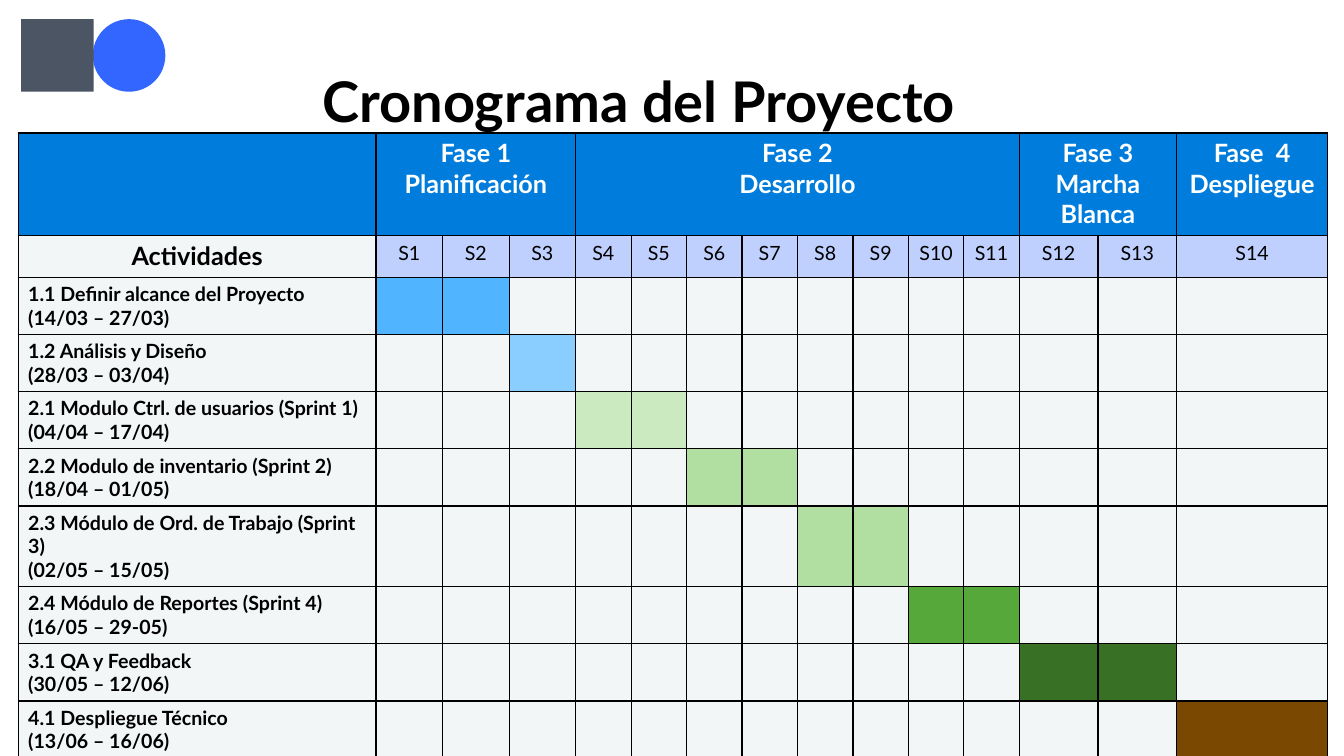
from lxml import etree
from pptx import Presentation
from pptx.dml.color import RGBColor
from pptx.enum import shapes, text
from pptx.oxml import ns
from pptx.util import Inches, Pt

BLACK = RGBColor(0x00, 0x00, 0x00)
WHITE = RGBColor(0xFF, 0xFF, 0xFF)
SLATE = RGBColor(0x4B, 0x55, 0x63)
ROYAL_BLUE = RGBColor(0x33, 0x66, 0xFF)
HEADER_BLUE = RGBColor(0x00, 0x7D, 0xDC)
WEEK_BLUE = RGBColor(0xBF, 0xCF, 0xFE)
PALE_GRAY = RGBColor(0xF2, 0xF6, 0xF7)
SKY_BLUE = RGBColor(0x50, 0xB4, 0xFF)
LIGHT_BLUE = RGBColor(0x8A, 0xCD, 0xFF)
PALE_GREEN = RGBColor(0xCB, 0xEA, 0xC0)
LIGHT_GREEN = RGBColor(0xB0, 0xDF, 0xA1)
GREEN = RGBColor(0x55, 0xA8, 0x39)
DARK_GREEN = RGBColor(0x38, 0x70, 0x26)
BROWN = RGBColor(0x7A, 0x48, 0x00)

COLUMN_WIDTHS = [3.55] + [0.66] * 3 + [0.55] * 8 + [0.78] * 2 + [1.5]
ROW_HEIGHTS = [1.02, 0.41] + [0.52] * 8
PHASES = [
    ("Fase 1\nPlanificación", 1, 3),
    ("Fase 2\nDesarrollo", 4, 11),
    ("Fase 3\nMarcha Blanca", 12, 13),
    ("Fase  4\nDespliegue", 14, 14),
]
ACTIVITIES = [
    ("1.1 Definir alcance del Proyecto\n(14/03 – 27/03)", 1, 2, SKY_BLUE),
    ("1.2 Análisis y Diseño\n(28/03 – 03/04)", 3, 3, LIGHT_BLUE),
    ("2.1 Modulo Ctrl. de usuarios (Sprint 1) (04/04 – 17/04)", 4, 5, PALE_GREEN),
    ("2.2 Modulo de inventario (Sprint 2)\n(18/04 – 01/05)", 6, 7, LIGHT_GREEN),
    ("2.3 Módulo de Ord. de Trabajo (Sprint 3)\n(02/05 – 15/05)", 8, 9, LIGHT_GREEN),
    ("2.4 Módulo de Reportes (Sprint 4)\n(16/05 – 29-05)", 10, 11, GREEN),
    ("3.1 QA y Feedback\n(30/05 – 12/06)", 12, 13, DARK_GREEN),
    ("4.1 Despliegue Técnico\n(13/06 – 16/06)", 14, 14, BROWN),
]


def write_text(frame, content, size=18, color=BLACK, bold=True, align=text.PP_ALIGN.CENTER):
    frame.text = content
    for paragraph in frame.paragraphs:
        paragraph.alignment = align
        font = paragraph.runs[0].font
        font.name = "Lato"
        font.size = Pt(size)
        font.bold = bold
        font.color.rgb = color


def format_cell(cell, color):
    properties = cell._tc.get_or_add_tcPr()
    for side in ("lnL", "lnR", "lnT", "lnB"):
        line = etree.SubElement(properties, ns.qn("a:" + side), w=str(Pt(1)))
        fill = etree.SubElement(line, ns.qn("a:solidFill"))
        etree.SubElement(fill, ns.qn("a:srgbClr"), val=str(BLACK))
    cell.fill.solid()
    cell.fill.fore_color.rgb = color


presentation = Presentation()
presentation.slide_width = Inches(13.33)
presentation.slide_height = Inches(7.5)
slide = presentation.slides.add_slide(presentation.slide_layouts[5])

for kind, left, color in [
    (shapes.MSO_SHAPE.OVAL, 0.92, ROYAL_BLUE),
    (shapes.MSO_SHAPE.RECTANGLE, 0.21, SLATE),
]:
    shape = slide.shapes.add_shape(kind, Inches(left), Inches(0.19), Inches(0.72), Inches(0.72))
    shape.shadow.inherit = False
    shape.fill.solid()
    shape.fill.fore_color.rgb = color
    shape.line.fill.background()

title = slide.shapes.title
title.left, title.top = Inches(1.43), Inches(0.7)
title.width, title.height = Inches(9.81), Inches(0.58)
frame = title.text_frame
frame.margin_left = frame.margin_top = frame.margin_right = frame.margin_bottom = 0
frame.vertical_anchor = text.MSO_ANCHOR.MIDDLE
frame.auto_size = text.MSO_AUTO_SIZE.NONE
write_text(frame, "Cronograma del Proyecto", size=40)

schedule = slide.shapes.add_table(
    len(ROW_HEIGHTS), len(COLUMN_WIDTHS), Inches(0.18), Inches(1.32), Inches(12.97), Inches(5.59)
).table
for column, width in zip(schedule.columns, COLUMN_WIDTHS):
    column.width = Inches(width)
for row, height in zip(schedule.rows, ROW_HEIGHTS):
    row.height = Inches(height)

for column in range(len(COLUMN_WIDTHS)):
    format_cell(schedule.cell(0, column), HEADER_BLUE)
for name, first, last in PHASES:
    cell = schedule.cell(0, first)
    if last > first:
        cell.merge(schedule.cell(0, last))
    write_text(cell.text_frame, name, color=WHITE)

format_cell(schedule.cell(1, 0), PALE_GRAY)
write_text(schedule.cell(1, 0).text_frame, "Actividades")
for week in range(1, len(COLUMN_WIDTHS)):
    cell = schedule.cell(1, week)
    format_cell(cell, WEEK_BLUE)
    write_text(cell.text_frame, f"S{week}", size=14, bold=False)

for row, (activity, first, last, color) in enumerate(ACTIVITIES, start=2):
    for column in range(len(COLUMN_WIDTHS)):
        format_cell(schedule.cell(row, column), color if first <= column <= last else PALE_GRAY)
    write_text(schedule.cell(row, 0).text_frame, activity, size=14, align=text.PP_ALIGN.LEFT)

presentation.save("out.pptx")
